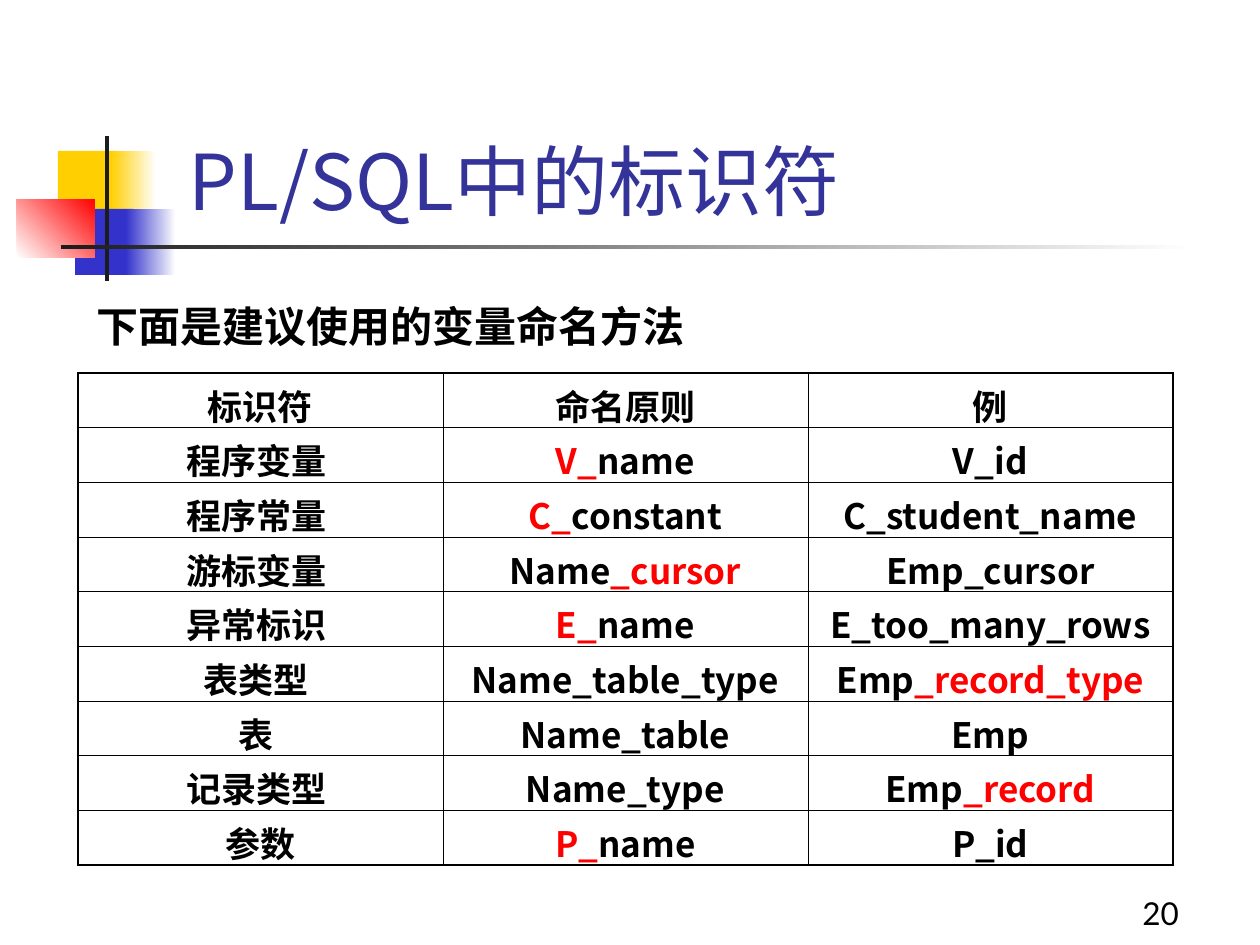
from dataclasses import dataclass

from lxml import etree
from pptx import Presentation
from pptx import util as u
from pptx.dml.color import RGBColor
from pptx.enum import shapes, text
from pptx.oxml.ns import qn

SCALE = 914400 / 126
CJK, LATIN = "Noto Sans CJK SC", "Lato"
BLACK, RED, WHITE = "000000", "FF0000", "FFFFFF"
GOLD, BLUE, DARK = "FFCF01", "3333CC", "1C1C1C"
THIN, THICK = 0.45, 1.08


@dataclass
class Block:
    x: int
    y: int
    w: int
    h: int
    fill: str
    end: str = ""
    angle: int = 0


@dataclass
class Label:
    x: int
    y: int
    w: int
    h: int
    words: str
    size: int
    color: str = BLACK
    font: str = CJK
    bold: bool = False
    wrap: bool = True
    anchor: text.MSO_ANCHOR = text.MSO_ANCHOR.MIDDLE


BLOCKS = [
    Block(58, 151, 60, 66, GOLD),
    Block(111, 151, 45, 66, GOLD, WHITE),
    Block(75, 209, 58, 66, BLUE),
    Block(126, 209, 50, 66, BLUE, WHITE),
    Block(17, 199, 78, 59, WHITE, RED, 45),
    Block(105, 136, 4, 145, DARK),
    Block(61, 245, 1134, 4, DARK, WHITE),
]
LABELS = [
    Label(1130, 888, 179, 55, "20", 18, font=LATIN, wrap=False,
          anchor=text.MSO_ANCHOR.TOP),
    Label(159, 117, 1074, 126, " PL/SQL中的标识符", 44, "333399"),
    Label(84, 294, 732, 63, "下面是建议使用的变量命名方法", 24, bold=True),
]
# Asterisks enclose the red part of a name.
ROWS = [
    ("标识符", "命名原则", "例"),
    ("程序变量 ", "*V_*name", "V_id"),
    ("程序常量 ", "*C_*constant", "C_student_name"),
    ("游标变量 ", "Name*_cursor*", "Emp_cursor"),
    ("异常标识 ", "*E_*name", "E_too_many_rows"),
    ("表类型 ", "Name_table_type", "Emp*_record_type*"),
    ("表 ", "Name_table", "Emp"),
    ("记录类型 ", "Name_type", "Emp*_record*"),
    ("参数", "*P_*name", "P_id"),
]


def px(n: float) -> int:
    return round(n * SCALE)


def rgb(code: str) -> RGBColor:
    return RGBColor.from_string(code)


def style(run, size: int, color: str, font: str, bold: bool) -> None:
    run.font.size = u.Pt(size)
    run.font.name = font
    run.font.bold = bold
    run.font.color.rgb = rgb(color)
    etree.SubElement(run.font._element, qn("a:ea"), typeface=CJK)


def draw_block(slide, b: Block) -> None:
    shape = slide.shapes.add_shape(
        shapes.MSO_SHAPE.RECTANGLE, px(b.x), px(b.y), px(b.w), px(b.h))
    shape.shadow.inherit = False
    shape.line.fill.background()
    if b.end:
        shape.fill.gradient()
        shape.fill.gradient_angle = b.angle
        for stop, color in zip(shape.fill.gradient_stops, (b.fill, b.end)):
            stop.color.rgb = rgb(color)
    else:
        shape.fill.solid()
        shape.fill.fore_color.rgb = rgb(b.fill)


def draw_label(slide, t: Label) -> None:
    box = slide.shapes.add_textbox(px(t.x), px(t.y), px(t.w), px(t.h))
    frame = box.text_frame
    frame.word_wrap = t.wrap
    frame.vertical_anchor = t.anchor
    frame.text = t.words
    style(frame.paragraphs[0].runs[0], t.size, t.color, t.font, t.bold)


def edge(cell, sides: dict[str, float]) -> None:
    """Put border lines ahead of the cell's fill."""
    props = cell._tc.get_or_add_tcPr()
    for i, (side, width) in enumerate(sides.items()):
        line = etree.Element(qn(f"a:ln{side}"), w=str(u.Pt(width)))
        fill = etree.SubElement(line, qn("a:solidFill"))
        etree.SubElement(fill, qn("a:srgbClr"), val=BLACK)
        props.insert(i, line)


def fill_cell(cell, words: str) -> None:
    cell.fill.background()
    para = cell.text_frame.paragraphs[0]
    para.alignment = text.PP_ALIGN.CENTER
    font = LATIN if words.endswith(" ") else CJK
    for i, part in enumerate(words.split("*")):
        if part:
            run = para.add_run()
            run.text = part
            style(run, 20, RED if i % 2 else BLACK, font, True)


def draw_table(slide, x: int, y: int, w: int, h: int) -> None:
    rows, cols = len(ROWS), len(ROWS[0])
    table = slide.shapes.add_table(
        rows, cols, px(x), px(y), px(w), px(h)).table
    table.first_row = table.horz_banding = False
    for r, names in enumerate(ROWS):
        for c, words in enumerate(names):
            cell = table.cell(r, c)
            fill_cell(cell, words)
            edge(cell, {
                "L": THIN if c else THICK,
                "R": THICK if c == cols - 1 else THIN,
                "T": THIN if r else THICK,
                "B": THICK if r == rows - 1 else THIN,
            })


def main() -> None:
    deck = Presentation()
    deck.slide_width, deck.slide_height = px(1260), px(945)
    slide = deck.slides.add_slide(deck.slide_layouts[6])
    for block in BLOCKS:
        draw_block(slide, block)
    for label in LABELS:
        draw_label(slide, label)
    draw_table(slide, 78, 373, 1095, 492)
    deck.save("out.pptx")


if __name__ == "__main__":
    main()
